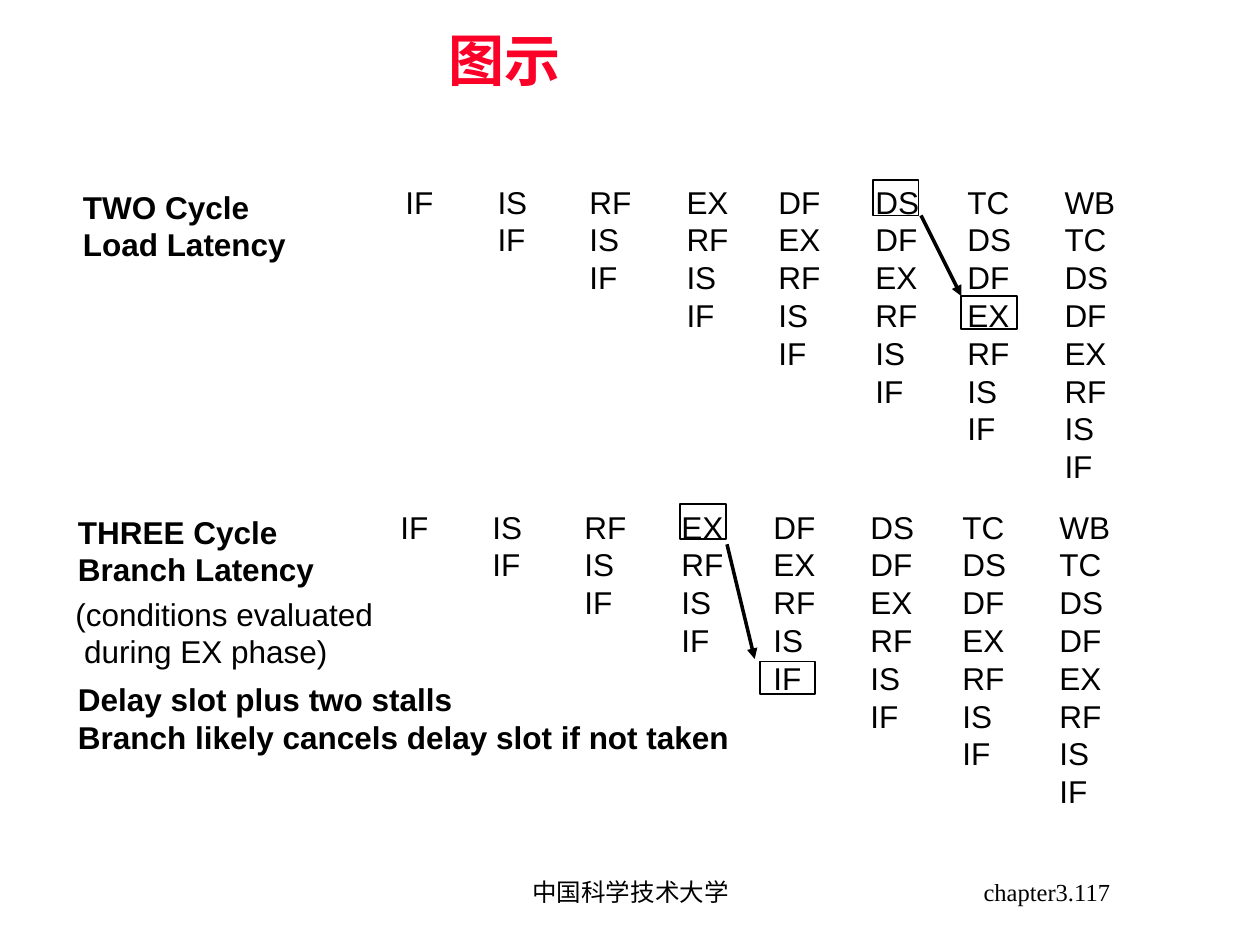
from pptx import Presentation
from pptx.dml.color import RGBColor
from pptx.enum.shapes import MSO_CONNECTOR, MSO_SHAPE
from pptx.enum.text import MSO_ANCHOR, MSO_AUTO_SIZE, PP_ALIGN
from pptx.oxml.ns import qn
from pptx.util import Inches, Pt
from lxml import etree

LEFT, MID, RIGHT = PP_ALIGN.LEFT, PP_ALIGN.CENTER, PP_ALIGN.RIGHT
TOP, CENTRE = MSO_ANCHOR.TOP, MSO_ANCHOR.MIDDLE
GROW = MSO_AUTO_SIZE.SHAPE_TO_FIT_TEXT
RECT, LINE = MSO_SHAPE.RECTANGLE, MSO_CONNECTOR.STRAIGHT
COLORS = {"ink": "000000", "title": "FC0128"}
INK = RGBColor.from_string(COLORS["ink"])

deck = Presentation()
deck.slide_width, deck.slide_height = Inches(10), Inches(7.5)
slide = deck.slides.add_slide(deck.slide_layouts[6])
shapes = slide.shapes


def add_text(x, y, w, h, lines, size=18, bold=False, font="Arial",
             color="ink", align=LEFT, anchor=TOP, wrap=False):
    box = shapes.add_textbox(Inches(x), Inches(y), Inches(w), Inches(h))
    frame = box.text_frame
    frame.word_wrap = wrap
    frame.vertical_anchor = anchor
    for i, line in enumerate(lines):
        para = frame.paragraphs[0] if i == 0 else frame.add_paragraph()
        para.alignment = align
        run = para.add_run()
        run.text = line
        run.font.size = Pt(size)
        run.font.bold = bold
        run.font.name = font
        run.font.color.rgb = RGBColor.from_string(COLORS[color])
    return frame


# Title and footer
title = add_text(0.84, 0.25, 6.33, 0.5, ["图示"], 32, True,
                 color="title", align=MID, anchor=CENTRE, wrap=True)
title.paragraphs[0].line_spacing = 0.9
add_text(3.42, 6.83, 3.17, 0.5, ["中国科学技术大学"], 14,
         font="Times New Roman", align=MID, anchor=CENTRE)
add_text(6.83, 6.83, 2.08, 0.5, ["chapter3.117"], 14,
         font="Times New Roman", align=RIGHT, anchor=CENTRE)

# Pipelines: each column adds one stage above those of the column before
STAGES = ["IF", "IS", "RF", "EX", "DF", "DS", "TC", "WB"]
STEPS = [0, 0.73, 1.46, 2.23, 2.96, 3.73, 4.46, 5.23]
WIDTHS = [0.44, 0.45, 0.55, 0.55, 0.55, 0.57, 0.57, 0.62]
PIPES = [
    # left, top, boxed stages, arrow
    (3.12, 1.4, [(6.93, 1.43, 0.36, 0.28), (7.63, 2.35, 0.44, 0.26)],
     (7.31, 1.71, 7.63, 2.35)),
    (3.08, 3.98, [(5.4, 4, 0.36, 0.28), (6.03, 5.25, 0.44, 0.26)],
     (5.77, 4.32, 5.99, 5.23)),
]
for left, top, marks, ends in PIPES:
    for n, (step, width) in enumerate(zip(STEPS, WIDTHS), 1):
        frame = add_text(left + step, top, width, 0.1 + 0.3 * n,
                         STAGES[:n][::-1])
        frame.auto_size = GROW

    arrow = shapes.add_connector(LINE, *[Inches(v) for v in ends])
    arrow.line.color.rgb = INK
    arrow.line.width = Pt(2)
    etree.SubElement(arrow.line._get_or_add_ln(), qn("a:tailEnd"),
                     type="triangle")
    etree.SubElement(arrow._element.spPr, qn("a:effectLst"))

    for mark in marks:
        rect = shapes.add_shape(RECT, *[Inches(v) for v in mark])
        rect.shadow.inherit = False
        rect.fill.background()
        rect.line.color.rgb = INK
        rect.line.width = Pt(1)

# Captions
NOTES = [
    (0.56, 1.44, 1.83, True, ["TWO Cycle", "Load Latency"]),
    (0.52, 4.02, 2.1, True, ["THREE Cycle", "Branch Latency"]),
    (0.5, 4.67, 2.58, False, ["(conditions evaluated", " during EX phase)"]),
    (0.52, 5.35, 5.39, True, ["Delay slot plus two stalls",
                              "Branch likely cancels delay slot if not taken"]),
]
for x, y, w, bold, lines in NOTES:
    frame = add_text(x, y, w, 0.7, lines, bold=bold)
    frame.auto_size = GROW

deck.save("out.pptx")
